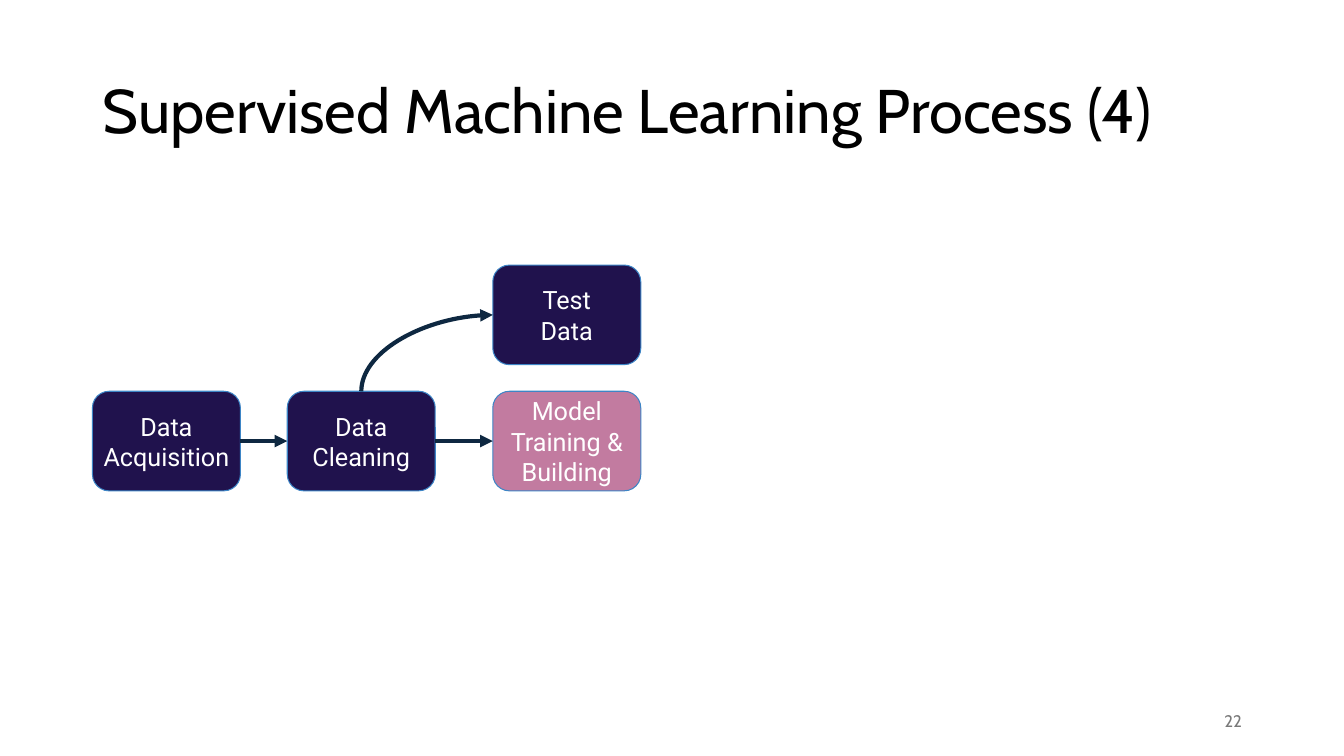
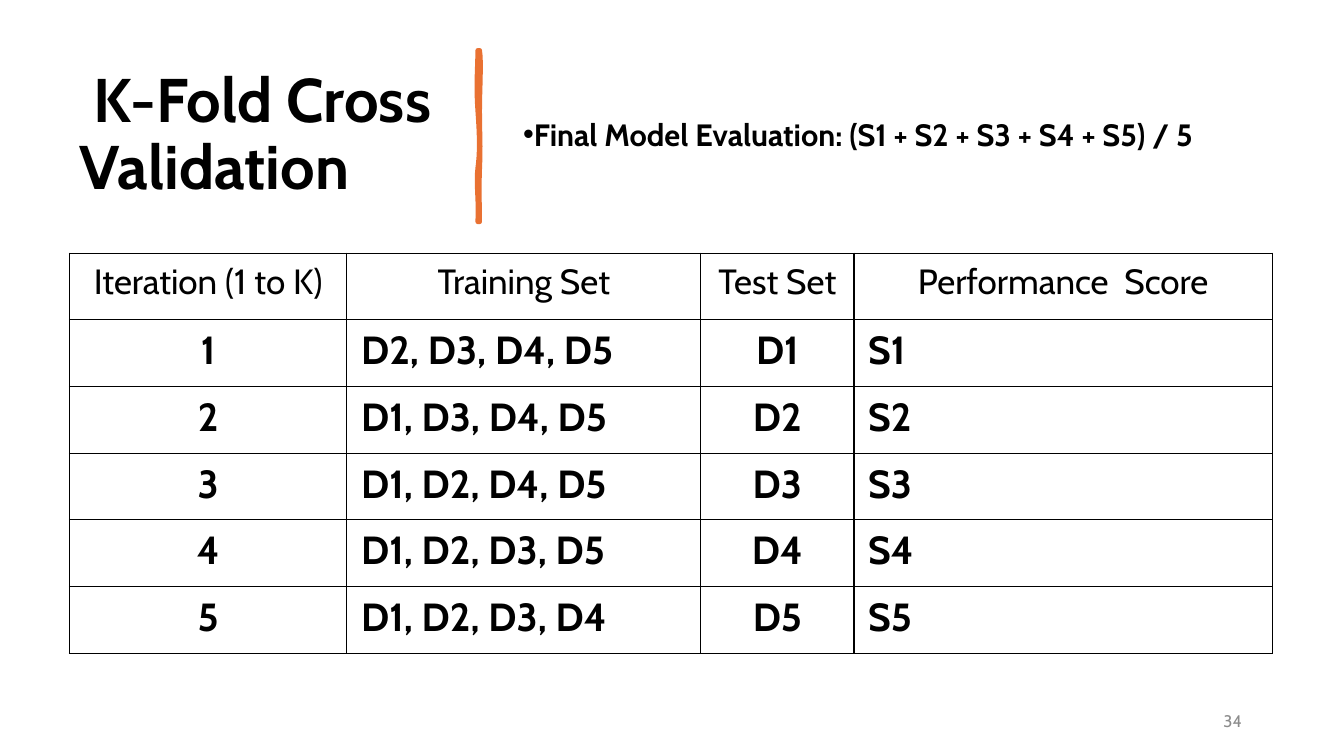
import pptx
import pptx.chart
import pptx.dml.color
import pptx.enum.shapes
import pptx.enum.text
import pptx.oxml
import pptx.oxml.ns
import pptx.util

Cm = pptx.util.Cm
Pt = pptx.util.Pt
qn = pptx.oxml.ns.qn
ALIGN = pptx.enum.text.PP_ALIGN
ANCHOR = pptx.enum.text.MSO_ANCHOR
SHAPE = pptx.enum.shapes.MSO_SHAPE
CONNECTOR = pptx.enum.shapes.MSO_CONNECTOR

COLORS = {
    "text": "000000",
    "light": "FFFFFF",
    "node": "20124D",
    "current": "C27BA0",
    "node_edge": "3D85C6",
    "arrow": "0E2841",
    "accent": "E97132",
    "number": "797979",
    "number_light": "8C8C8C",
}
FONT = "Cabin"
NODE_FONT = "Roboto"
TOP, LEFT, BOTTOM, RIGHT = range(4)

# Edge of the accent bar in cm: a start, then cubic curves of three points.
BAR_START = (0.05, 0)
BAR_CURVES = [
    ((0.1, 0.3), (0.05, 0.97), (0.05, 1.52)),
    ((0.05, 2.08), (0.08, 2.39), (0.05, 3)),
    ((0.03, 3.63), (0.05, 3.78), (0.05, 4.32)),
    ((0.03, 4.32), (0.03, 4.32), (0, 4.32)),
    ((0.03, 3.71), (-0.05, 3.38), (0, 2.97)),
    ((0.05, 2.57), (0.05, 2.24), (0, 1.52)),
    ((-0.05, 0.84), (0, 0.43), (0, 0)),
]


def color(key):
    return pptx.dml.color.RGBColor.from_string(COLORS[key])


def add_xml(parent, tag, **attributes):
    child = pptx.oxml.parse_xml(
        f'<a:{tag} xmlns:a="http://schemas.openxmlformats.org/drawingml/2006/main"/>')
    for key, value in attributes.items():
        child.set(key, str(value))
    parent.append(child)
    return child


def write(frame, text, size=12, font=FONT, ink="text", bold=False,
          align=ALIGN.LEFT, anchor=None, spacing=None, after=None, bullet=None):
    """Fill a text frame, one paragraph per line of text."""
    frame.word_wrap = True
    if anchor is not None:
        frame.vertical_anchor = anchor
    frame.text = text
    for paragraph in frame.paragraphs:
        paragraph.alignment = align
        paragraph.space_before = Pt(0)
        if spacing:
            paragraph.line_spacing = spacing
        if after:
            paragraph.space_after = Pt(after)
        if bullet:
            properties = paragraph._p.get_or_add_pPr()
            properties.set("marL", "0")
            properties.set("indent", str(-Cm(0.64)))
            add_xml(properties, "buFont", typeface="Arial")
            add_xml(properties, "buChar", char=bullet)
        for run in paragraph.runs:
            run.font.size = Pt(size)
            run.font.name = font
            run.font.bold = bold
            run.font.color.rgb = color(ink)


def fill_placeholder(placeholder, box, text, **text_format):
    placeholder.left, placeholder.top, placeholder.width, placeholder.height = box
    placeholder.text_frame.auto_size = pptx.enum.text.MSO_AUTO_SIZE.NONE
    write(placeholder.text_frame, text, anchor=ANCHOR.MIDDLE, spacing=0.9, **text_format)


def add_slide(deck, layout, title, title_box, number, number_ink="number", bold=False):
    slide = deck.slides.add_slide(deck.slide_layouts[layout])
    fill_placeholder(slide.shapes.title, title_box, title, size=44, bold=bold)
    number_box = slide.shapes.add_textbox(Cm(23.93), Cm(17.65), Cm(7.62), Cm(1.02))
    write(number_box.text_frame, str(number), ink=number_ink,
          align=ALIGN.RIGHT, anchor=ANCHOR.MIDDLE)
    return slide


def add_node(slide, left, top, text, fill="node"):
    node = slide.shapes.add_shape(SHAPE.ROUNDED_RECTANGLE, left, top, Cm(3.73), Cm(2.51))
    node.shadow.inherit = False
    node.fill.solid()
    node.fill.fore_color.rgb = color(fill)
    node.line.color.rgb = color("node_edge")
    node.line.width = Pt(0.75)
    frame = node.text_frame
    frame.margin_left = frame.margin_right = frame.margin_top = frame.margin_bottom = 0
    write(frame, text, size=18, font=NODE_FONT, ink="light",
          align=ALIGN.CENTER, anchor=ANCHOR.MIDDLE)
    return node


def add_arrow(slide, source, source_side, target, kind=CONNECTOR.STRAIGHT):
    """Join a side of the source to the left side of the target."""
    arrow = slide.shapes.add_connector(kind, 0, 0, 0, 0)
    arrow.begin_connect(source, source_side)
    arrow.end_connect(target, LEFT)
    arrow.line.color.rgb = color("arrow")
    arrow.line.width = Pt(3)
    add_xml(arrow.line._get_or_add_ln(), "tailEnd", type="triangle")
    add_xml(arrow._element.spPr, "effectLst")
    return arrow


def add_bend(slide, source, target):
    """Curve up from the source's top into the target's left side."""
    bend = add_arrow(slide, source, TOP, target, CONNECTOR.CURVE)
    start_x, start_y = source.left + source.width // 2, source.top
    end_x, end_y = target.left, target.top + target.height // 2
    run, rise = end_x - start_x, start_y - end_y
    # The preset leaves sideways, so its box is turned a quarter to leave upwards.
    bend.left, bend.top = (start_x + end_x - rise) // 2, (start_y + end_y - run) // 2
    bend.width, bend.height = rise, run
    properties = bend._element.spPr
    frame = properties.find(qn("a:xfrm"))
    for flip in ("flipH", "flipV"):
        frame.attrib.pop(flip, None)
    frame.set("rot", str(270 * 60000))
    properties.find(qn("a:prstGeom")).set("prst", "curvedConnector2")


def add_process(slide, left, top):
    main_row = top + Cm(3.18)
    acquisition = add_node(slide, left, main_row, "Data\nAcquisition")
    cleaning = add_node(slide, left + Cm(4.91), main_row, "Data\nCleaning")
    training = add_node(slide, left + Cm(10.09), main_row,
                        "Model\nTraining &\nBuilding", fill="current")
    test_data = add_node(slide, left + Cm(10.09), top, "Test\nData")
    add_arrow(slide, acquisition, RIGHT, cleaning)
    add_arrow(slide, cleaning, RIGHT, training)
    add_bend(slide, cleaning, test_data)


def curve_points(start, curves, steps=8):
    for curve in curves:
        anchors = (start, *curve)
        for step in range(1, steps + 1):
            t = step / steps
            weights = ((1 - t) ** 3, 3 * t * (1 - t) ** 2, 3 * t ** 2 * (1 - t), t ** 3)
            yield tuple(Cm(sum(w * point[axis] for w, point in zip(weights, anchors)))
                        for axis in (0, 1))
        start = curve[-1]


def add_accent_bar(slide, left, top):
    builder = slide.shapes.build_freeform(Cm(BAR_START[0]), Cm(BAR_START[1]))
    builder.add_line_segments(list(curve_points(BAR_START, BAR_CURVES)), close=True)
    bar = builder.convert_to_shape(left, top)
    bar.shadow.inherit = False
    bar.fill.solid()
    bar.fill.fore_color.rgb = color("accent")
    bar.line.color.rgb = color("accent")
    bar.line.width = Pt(3.25)
    add_xml(bar.line._get_or_add_ln(), "round")


def format_cell(cell):
    cell.margin_left = cell.margin_right = Cm(0.36)
    cell.margin_top = cell.margin_bottom = Cm(0.18)
    properties = cell._tc.get_or_add_tcPr()
    for side in ("lnL", "lnR", "lnT", "lnB"):
        border = add_xml(properties, side, w=Pt(1))
        add_xml(add_xml(border, "solidFill"), "srgbClr", val=COLORS["text"])
    cell.fill.background()


def add_fold_table(slide, left, top, folds=5):
    """Each iteration tests on one fold and trains on the others."""
    headings = ["Iteration (1 to K)", "Training Set", "Test Set", "Performance  Score"]
    widths = [Cm(6.99), Cm(8.92), Cm(3.86), Cm(10.54)]
    row_height = Cm(1.68)
    rows = [headings]
    for fold in range(1, folds + 1):
        training = ", ".join(f"D{other}" for other in range(1, folds + 1) if other != fold)
        rows.append([str(fold), training, f"D{fold}", f"S{fold}"])
    table = slide.shapes.add_table(len(rows), len(headings), left, top,
                                   sum(widths), row_height * len(rows)).table
    table.first_row = table.horz_banding = False
    for column, width in zip(table.columns, widths):
        column.width = width
    for row, texts in enumerate(rows):
        table.rows[row].height = row_height
        for column, text in enumerate(texts):
            cell = table.cell(row, column)
            format_cell(cell)
            centred = row == 0 or column in (0, 2)
            write(cell.text_frame, text, size=28 if row else 25, bold=row > 0,
                  align=ALIGN.CENTER if centred else ALIGN.LEFT)


def add_process_slide(deck):
    slide = add_slide(deck, 5, "Supervised Machine Learning Process (4)",
                      (Cm(2.33), Cm(1.02), Cm(29.21), Cm(3.68)), 22)
    add_process(slide, Cm(2.33), Cm(6.68))


def add_validation_slide(deck):
    top, height = Cm(1.4), Cm(4.06)
    slide = add_slide(deck, 1, " K-Fold Cross Validation",
                      (Cm(1.75), top, Cm(9.5), height), 34, "number_light", bold=True)
    fill_placeholder(slide.placeholders[1], (Cm(12.93), top, Cm(19.15), height),
                     "Final Model Evaluation: (S1 + S2 + S3 + S4 + S5) / 5",
                     size=22, bold=True, after=6, bullet="•")
    add_accent_bar(slide, Cm(12.04), Cm(1.27))
    add_fold_table(slide, Cm(1.75), Cm(6.38))


def main():
    deck = pptx.Presentation()
    deck.slide_width, deck.slide_height = Cm(33.87), Cm(19.05)
    add_process_slide(deck)
    add_validation_slide(deck)
    deck.save("out.pptx")


if __name__ == "__main__":
    main()
